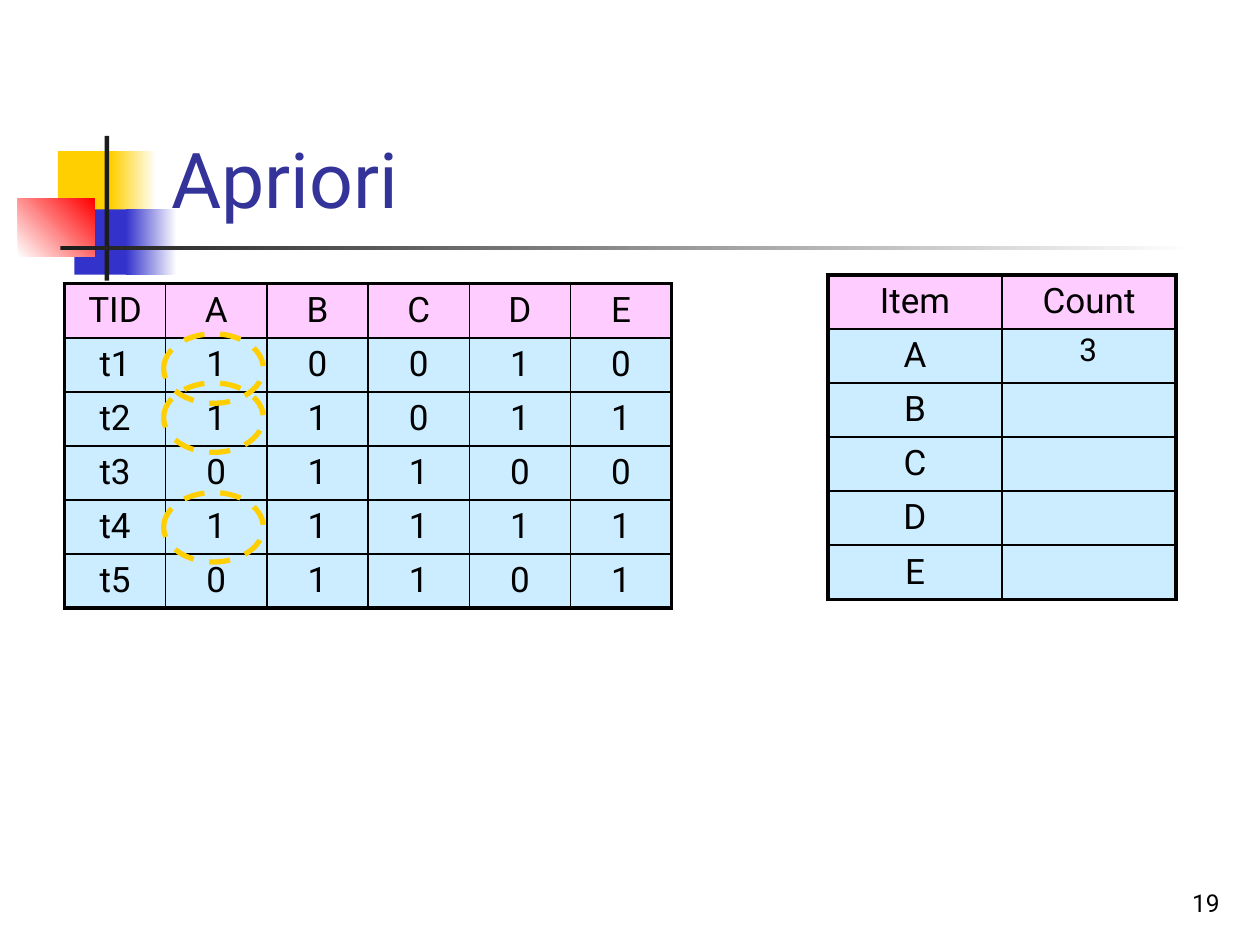
from lxml.etree import SubElement
from pptx import Presentation
from pptx.dml.color import RGBColor
from pptx.enum.dml import MSO_LINE
from pptx.enum.shapes import MSO_SHAPE
from pptx.enum.text import MSO_ANCHOR, MSO_AUTO_SIZE, PP_ALIGN
from pptx.oxml.ns import qn
from pptx.util import Cm, Pt

FONT = "Roboto"
BLACK, WHITE = "000000", "FFFFFF"
GOLD, BLUE, RED, DARK = "FFCF01", "3333CC", "FF0000", "1C1C1C"
NAVY, PINK, SKY = "333399", "FFCCFF", "CCECFF"
ROW = 1.09


def paint(color, code):
    color.rgb = RGBColor.from_string(code)


def write(frame, text, size, code=BLACK, align=PP_ALIGN.LEFT):
    para = frame.paragraphs[0]
    para.alignment = align
    run = para.add_run()
    run.text = text
    run.font.name = FONT
    run.font.size = Pt(size)
    paint(run.font.color, code)


def label(slide, box, text, size, code=BLACK, align=PP_ALIGN.LEFT,
          anchor=MSO_ANCHOR.BOTTOM, wrap=True):
    frame = slide.shapes.add_textbox(*map(Cm, box)).text_frame
    frame.word_wrap = wrap
    frame.auto_size = MSO_AUTO_SIZE.NONE if wrap else MSO_AUTO_SIZE.SHAPE_TO_FIT_TEXT
    frame.vertical_anchor = anchor
    write(frame, text, size, code, align)


def block(slide, box, start, end=None, angle=0):
    shape = slide.shapes.add_shape(MSO_SHAPE.RECTANGLE, *map(Cm, box))
    shape.shadow.inherit = False
    shape.line.fill.background()
    if end is None:
        shape.fill.solid()
        paint(shape.fill.fore_color, start)
        return
    shape.fill.gradient()
    shape.fill.gradient_angle = angle
    for stop, code in zip(shape.fill.gradient_stops, (start, end)):
        paint(stop.color, code)


def emblem(slide, left, top):
    parts = [
        (0.81, 0.31, 1.22, 1.32, GOLD),
        (1.88, 0.31, 0.91, 1.32, GOLD, WHITE),
        (1.14, 1.48, 1.17, 1.32, BLUE),
        (2.18, 1.48, 1.02, 1.32, BLUE, WHITE),
        (0, 1.27, 1.55, 1.17, WHITE, RED, 45),
        (1.75, 0, 0.09, 2.92, DARK),
        (0.86, 2.21, 22.86, 0.09, DARK, WHITE),
    ]
    for x, y, wide, high, *tone in parts:
        block(slide, (left + x, top + y, wide, high), *tone)


def border(cell, side, width):
    props = cell._tc.get_or_add_tcPr()
    line = SubElement(props, qn("a:ln" + side), w=str(Pt(width)))
    fill = SubElement(line, qn("a:solidFill"))
    SubElement(fill, qn("a:srgbClr"), val=BLACK)


def grid(slide, left, top, wide, rows):
    high, cols = len(rows), len(rows[0])
    table = slide.shapes.add_table(
        high, cols, Cm(left), Cm(top), Cm(wide * cols), Cm(ROW * high)).table
    table.first_row = table.horz_banding = False
    for col in table.columns:
        col.width = Cm(wide)
    for r, row in enumerate(rows):
        table.rows[r].height = Cm(ROW)
        for c, text in enumerate(row):
            cell = table.cell(r, c)
            edges = {"L": c == 0, "R": c == cols - 1,
                     "T": r == 0, "B": r == high - 1}
            for side, outer in edges.items():
                border(cell, side, 2.25 if outer else 1)
            cell.fill.solid()
            paint(cell.fill.fore_color, SKY if r else PINK)
            if text:
                write(cell.text_frame, text, 20, align=PP_ALIGN.CENTER)


def rings(slide, left, top):
    for y in (1.01, 2, 4.21):
        ring = slide.shapes.add_shape(
            MSO_SHAPE.OVAL, Cm(left + 2), Cm(top + y), Cm(2.01), Cm(1.4))
        ring.shadow.inherit = False
        ring.fill.background()
        paint(ring.line.color, GOLD)
        ring.line.width = Pt(3)
        ring.line.dash_style = MSO_LINE.DASH


def baskets(slide, left, top):
    bits = ["10010", "11011", "01100", "11111", "01101"]
    rows = [["TID", *"ABCDE"]]
    rows += [[f"t{n}", *line] for n, line in enumerate(bits, 1)]
    grid(slide, left, top, 2.04, rows)


def counts(slide, left, top):
    rows = [["Item", "Count"]] + [[name, ""] for name in "ABCDE"]
    grid(slide, left, top, 3.51, rows)


def tally(slide, left, top):
    label(slide, (left + 4.82, top + 0.99, 0.86, 1.02), "3", 18,
          anchor=MSO_ANCHOR.TOP, wrap=False)


def main():
    deck = Presentation()
    deck.slide_width, deck.slide_height = Cm(25.4), Cm(19.05)
    slide = deck.slides.add_slide(deck.slide_layouts[6])
    emblem(slide, 0.36, 2.74)
    label(slide, (19.56, 17.35, 5.28, 1.27), "19", 14, align=PP_ALIGN.RIGHT)
    label(slide, (3.2, 0.58, 21.64, 4.06), "Apriori", 44, NAVY)
    baskets(slide, 1.3, 5.72)
    counts(slide, 16.69, 5.54)
    rings(slide, 1.3, 5.72)
    tally(slide, 16.69, 5.54)
    deck.save("out.pptx")


main()
